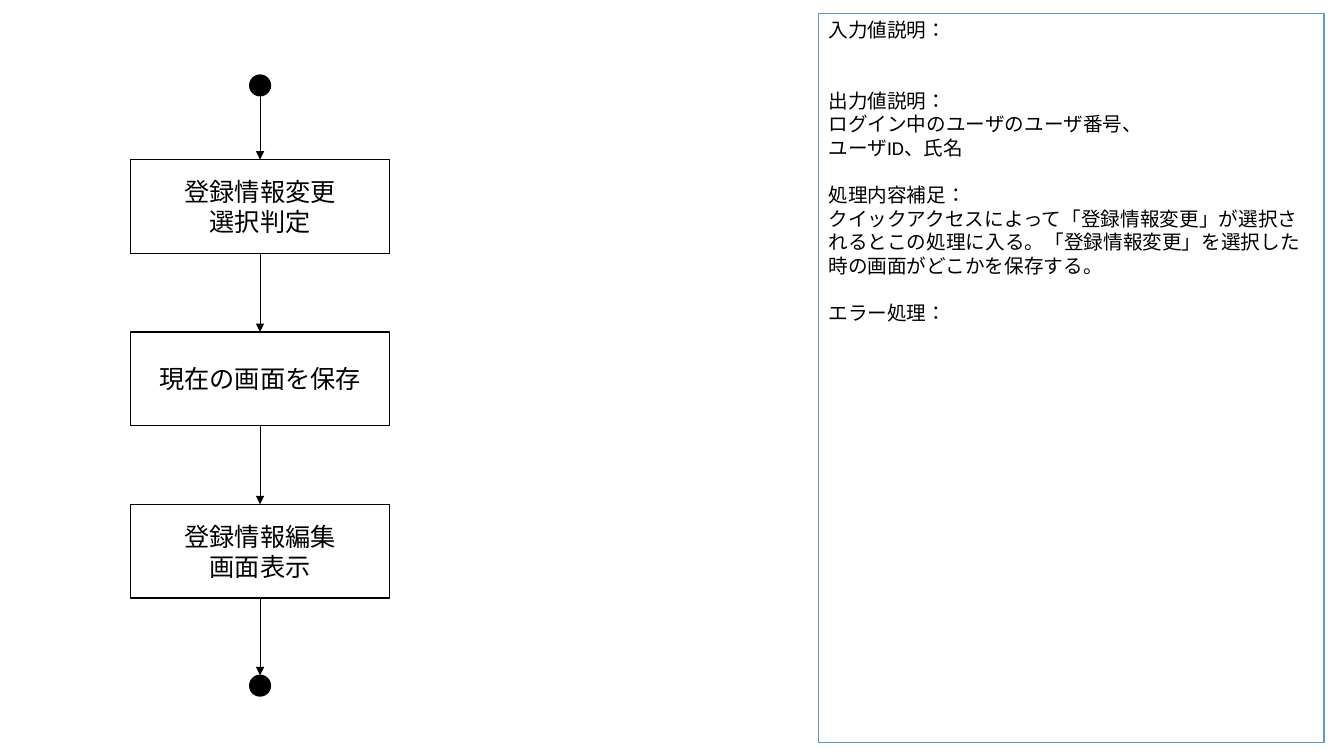
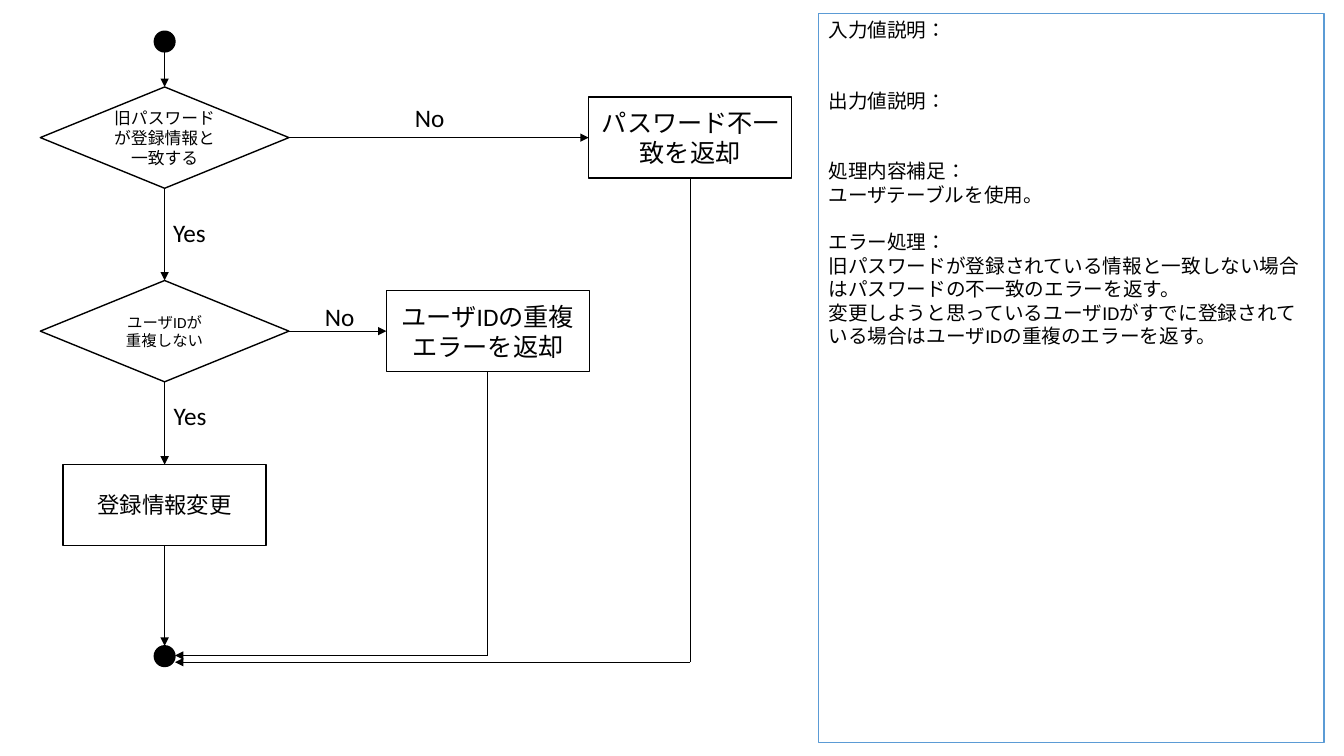
from lxml import etree
from pptx import Presentation
from pptx.dml.color import RGBColor
from pptx.enum.lang import MSO_LANGUAGE_ID
from pptx.enum.shapes import MSO_CONNECTOR, MSO_SHAPE
from pptx.enum.text import MSO_ANCHOR, PP_ALIGN
from pptx.oxml.ns import qn
from pptx.util import Inches, Pt

DOT = MSO_SHAPE.OVAL
PROCESS = MSO_SHAPE.FLOWCHART_PROCESS
DECISION = MSO_SHAPE.FLOWCHART_DECISION
STRAIGHT = MSO_CONNECTOR.STRAIGHT
LEFT, CENTER = PP_ALIGN.LEFT, PP_ALIGN.CENTER
TOP, MIDDLE = MSO_ANCHOR.TOP, MSO_ANCHOR.MIDDLE

COLORS = {"ink": "000000", "paper": "FFFFFF", "panel": "5B9BD5"}
FONT = {"name": "Calibri", "language_id": MSO_LANGUAGE_ID.JAPANESE}

prs = Presentation()
prs.slide_width, prs.slide_height = Inches(13.33), Inches(7.5)
COL, ROW = prs.slide_width / 100, prs.slide_height / 100  # grid of 100 x 100

DOT_SIZE = (1.54, 2.74)
LABEL_SIZE = (4.72, 5.33)
PANEL = (79.7, 50, 37.6, 96.5)
NOTE_LINE = 16.8  # points


def add_node(s, kind, box, lines=(), size=18, fill="paper", line="ink", align=CENTER, anchor=MIDDLE):
    """Add a shape, or a text box if kind is None; box is centre x, centre y, width, height."""
    cx, cy, w, h = box
    place = [round(v) for v in ((cx - w / 2) * COL, (cy - h / 2) * ROW, w * COL, h * ROW)]
    if kind is None:
        sp = s.shapes.add_textbox(*place)
    else:
        sp = s.shapes.add_shape(kind, *place)
        sp.shadow.inherit = False
        sp.fill.solid()
        sp.fill.fore_color.rgb = RGBColor.from_string(COLORS[fill])
        sp.line.color.rgb = RGBColor.from_string(COLORS[line])
        sp.line.width = Pt(1)
    tf = sp.text_frame
    tf.word_wrap = True
    tf.vertical_anchor = anchor
    for i, text in enumerate(lines):
        p = tf.add_paragraph() if i else tf.paragraphs[0]
        p.alignment = align
        r = p.add_run()
        r.text = text
        for key, value in {**FONT, "size": Pt(size)}.items():
            setattr(r.font, key, value)
        r.font.color.rgb = RGBColor.from_string(COLORS["ink"])
    return sp


def add_arrow(s, x1, y1, x2, y2, head=True):
    ends = [round(v) for v in (x1 * COL, y1 * ROW, x2 * COL, y2 * ROW)]
    cxn = s.shapes.add_connector(STRAIGHT, *ends)
    cxn.line.color.rgb = RGBColor.from_string(COLORS["ink"])
    cxn.line.width = Pt(0.5)
    if head:
        etree.SubElement(cxn.line._get_or_add_ln(), qn("a:tailEnd"), type="triangle")
    etree.SubElement(cxn._element.spPr, qn("a:effectLst"))


# Each flow: centre column x, nodes of that column from top to bottom, and note sections
FLOWS = [
    {
        "x": 19.35,
        "nodes": [
            (DOT, 11.3, DOT_SIZE, [], 18),
            (PROCESS, 27.3, (19.3, 12.4), ["登録情報変更", "選択判定"], 18),
            (PROCESS, 50.1, (19.3, 12.4), ["現在の画面を保存"], 18),
            (PROCESS, 72.9, (19.3, 12.4), ["登録情報編集", "画面表示"], 18),
            (DOT, 90.7, DOT_SIZE, [], 18),
        ],
        "notes": [
            ("入力値説明：", []),
            ("出力値説明：", ["ログイン中のユーザのユーザ番号、", "ユーザID、氏名"]),
            ("処理内容補足：", ["クイックアクセスによって「登録情報変更」が選択されるとこの処理に入る。"
                         "「登録情報変更」を選択した時の画面がどこかを保存する。"]),
            ("エラー処理：", []),
        ],
    },
    {
        "x": 12.25,
        "nodes": [
            (DOT, 5.5, DOT_SIZE, [], 18),
            (DECISION, 18.2, (18.5, 13.4), ["旧パスワードが登録情報と一致する"], 12),
            (DECISION, 43.8, (18.5, 13.4), ["ユーザIDが", "重複しない"], 11),
            (PROCESS, 66.8, (15.1, 10.7), ["登録情報変更"], 16),
            (DOT, 86.8, DOT_SIZE, [], 18),
        ],
        "notes": [
            ("入力値説明：", []),
            ("出力値説明：", []),
            ("処理内容補足：", ["ユーザテーブルを使用。"]),
            ("エラー処理：", [
                "旧パスワードが登録されている情報と一致しない場合はパスワードの不一致のエラーを返す。",
                "変更しようと思っているユーザIDがすでに登録されている場合はユーザIDの重複のエラーを返す。",
            ]),
        ],
    },
]

for flow in FLOWS:
    s = prs.slides.add_slide(prs.slide_layouts[6])
    x, nodes = flow["x"], flow["nodes"]
    for kind, y, (w, h), lines, size in nodes:
        add_node(s, kind, (x, y, w, h), lines, size, fill="ink" if kind == DOT else "paper")
    for (_, y1, (_, h1), *_), (_, y2, (_, h2), *_) in zip(nodes, nodes[1:]):
        add_arrow(s, x, y1 + h1 / 2, x, y2 - h2 / 2)

    lines, gaps, gap = [], [], 0
    for heading, body in flow["notes"]:
        lines += [heading, *body]
        gaps += [gap] + [0] * len(body)
        gap = 1 if body else 2  # an empty section leaves room for one more line
    panel = add_node(s, PROCESS, PANEL, lines, 14, line="panel", align=LEFT, anchor=TOP)
    for p, gap in zip(panel.text_frame.paragraphs, gaps):
        p.space_before = Pt(gap * NOTE_LINE)

# Error branches of the second flow: decision y, box x, y of the return line, text
ERROR_W, ERROR_H = 15.1, 10.7
BRANCHES = [
    (18.2, 51.35, 87.6, "パスワード不一致を返却"),
    (43.8, 36.3, 86.7, "ユーザIDの重複エラーを返却"),
]
for y, error_x, return_y, text in BRANCHES:
    add_node(s, PROCESS, (error_x, y, ERROR_W, ERROR_H), [text])
    add_arrow(s, x + 18.5 / 2, y, error_x - ERROR_W / 2, y)
    add_arrow(s, error_x, y + ERROR_H / 2, error_x, return_y, head=False)
    add_arrow(s, error_x, return_y, x + DOT_SIZE[0] / 2, return_y)

LABELS = [("Yes", 14.5, 30.8), ("Yes", 14.55, 54.9), ("No", 32.5, 15.5), ("No", 25.8, 41.8)]
for text, label_x, label_y in LABELS:
    add_node(s, None, (label_x, label_y, *LABEL_SIZE), [text], align=LEFT, anchor=TOP)

prs.save("out.pptx")
